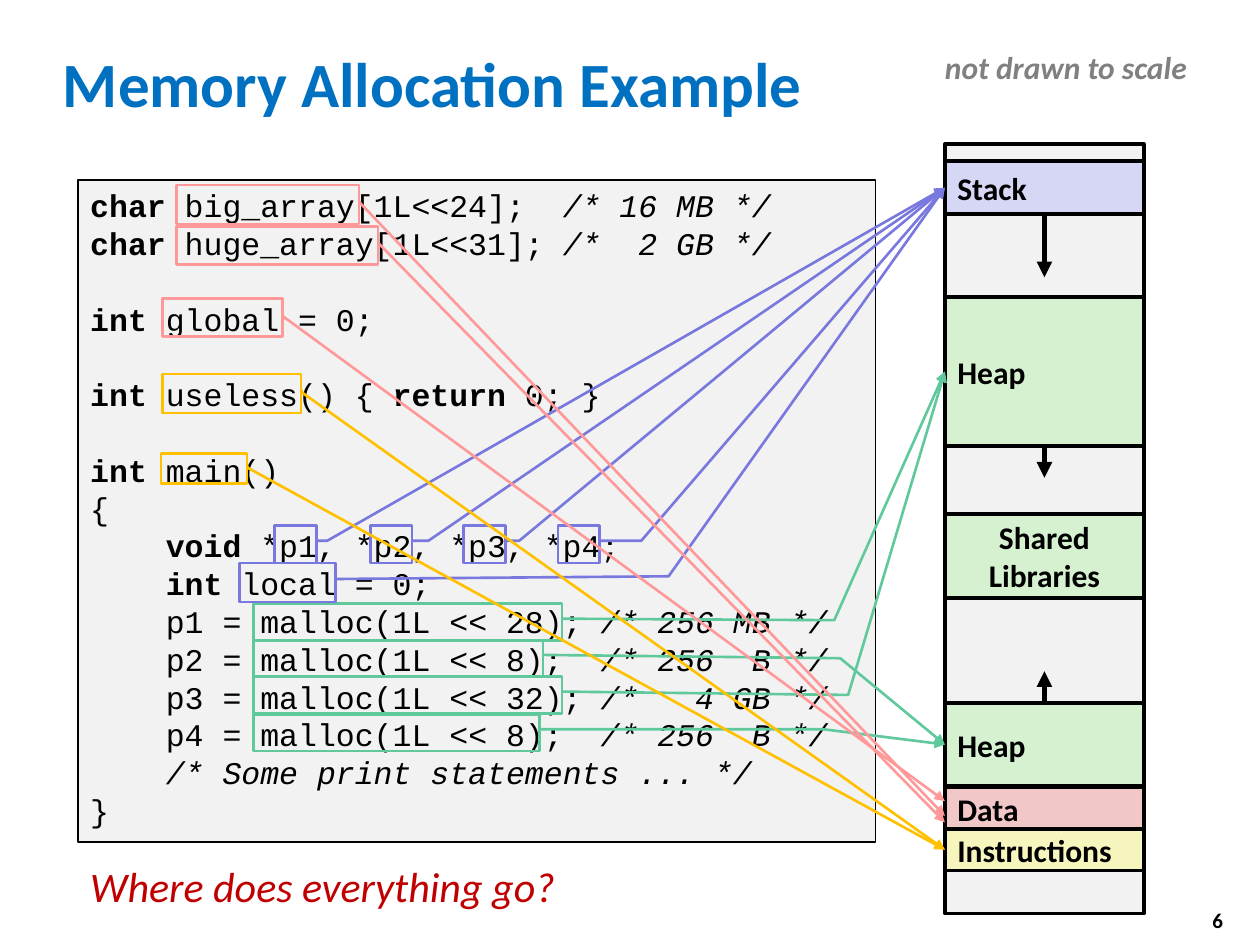
from itertools import groupby

from lxml import etree
from pptx import Presentation
from pptx.dml.color import RGBColor
from pptx.enum.shapes import MSO_CONNECTOR, MSO_SHAPE
from pptx.enum.text import MSO_ANCHOR, PP_ALIGN
from pptx.oxml.ns import qn
from pptx.util import Cm, Pt

RECT, CALLOUT = MSO_SHAPE.RECTANGLE, MSO_SHAPE.LINE_CALLOUT_2
STRAIGHT = MSO_CONNECTOR.STRAIGHT
TOP, MIDDLE = MSO_ANCHOR.TOP, MSO_ANCHOR.MIDDLE
LEFT, CENTER = PP_ALIGN.LEFT, PP_ALIGN.CENTER

BLACK, PALE, GREEN = "000000", "F2F2F2", "D5F1CF"
MINT, VIOLET, GOLD, PINK = "60C99C", "7878DE", "FFC000", "FF9999"

KEYS = {"char", "int", "void", "return"}
CODE = """char big_array[1L<<24];  /* 16 MB */
char huge_array[1L<<31]; /*  2 GB */

int global = 0;

int useless() { return 0; }

int main()
{
    void *p1, *p2, *p3, *p4;
    int local = 0;
    p1 = malloc(1L << 28); /* 256 MB */
    p2 = malloc(1L << 8);  /* 256  B */
    p3 = malloc(1L << 32); /*   4 GB */
    p4 = malloc(1L << 8);  /* 256  B */
    /* Some print statements ... */
}""".split("\n")

# text, box, anchor, align, size, colour, bold, italic
LABELS = [
    ("Memory Allocation Example", (1.02, 0.61, 23.34, 2.11), MIDDLE, LEFT, 36, "0070C0", True, False),
    ("6", (23.7, 18.03, 1.7, 1.02), MIDDLE, CENTER, 12, BLACK, True, False),
    ("not drawn to scale", (18.8, 0.84, 5.41, 1.02), TOP, LEFT, 18, "808080", True, True),
    ("Where does everything go?", (1.57, 17.22, 10.21, 1.3), TOP, LEFT, 24, "C00000", False, True),
]

COL_X, COL_W = 19.05, 4.01
# key: text, top, height, fill, align
BLOCKS = {
    "stack": ("Stack", 3.25, 1.07, "D6D6F5", LEFT),
    "large": ("Heap", 5.99, 3, GREEN, LEFT),
    "shared": ("Shared\nLibraries", 10.36, 1.7, GREEN, CENTER),
    "small": ("Heap", 14.17, 1.68, GREEN, LEFT),
    "data": ("Data", 15.88, 0.84, "F1C7C7", LEFT),
    "code": ("Instructions", 16.71, 0.84, "F6F5BD", LEFT),
}
# block, side, length of growth
GROWTH = [("stack", 2, 1.27), ("large", 2, 0.64), ("small", 0, -0.64)]

# box, elbow x (None: at the box), elbow height in box, target block, drop of tip
CALLS = [
    ((5.11, 12.17, 6.22, 0.74), 16.82, 0.45, "large", 0, MINT),
    ((5.11, 12.9, 5.84, 0.74), 16.94, 0.5, "small", 0, MINT),
    ((5.11, 13.64, 6.22, 0.74), 17.1, 0.5, "large", 0, MINT),
    ((5.11, 14.4, 5.77, 0.74), 16.61, 0.41, "small", 0, MINT),
    ((11.25, 10.59, 0.84, 0.76), 12.93, 0.41, "stack", 0, VIOLET),
    ((9.35, 10.59, 0.84, 0.76), 10.47, 0.41, "stack", 0, VIOLET),
    ((7.47, 10.59, 0.84, 0.76), 8.64, 0.41, "stack", 0, VIOLET),
    ((5.54, 10.59, 0.84, 0.76), 6.6, 0.41, "stack", 0, VIOLET),
    ((4.83, 11.35, 1.93, 0.79), 13.48, 0.34, "stack", 0, VIOLET),
    ((3.28, 7.54, 2.79, 0.79), None, 0.48, "code", 0, GOLD),
    ((3.25, 9.14, 1.73, 0.61), None, 0.48, "code", 0, GOLD),
    ((3.56, 3.73, 3.68, 0.79), None, 0.48, "data", 0.15, PINK),
    ((3.56, 4.57, 4.06, 0.76), None, 0.48, "data", 0.28, PINK),
    ((3.28, 6.02, 2.41, 0.76), None, 0.48, "data", -0.15, PINK),
]


def rgb(code):
    return RGBColor.from_string(code)


def add_tip(shape):
    """Put an arrowhead at the end of the shape's line."""
    ln = shape.line._get_or_add_ln()
    etree.SubElement(ln, qn("a:tailEnd"), type="triangle")


def draw(kind, box, fill, edge, width):
    shape = shapes.add_shape(kind, *map(Cm, box))
    shape.shadow.inherit = False
    if fill:
        shape.fill.solid()
        shape.fill.fore_color.rgb = rgb(fill)
    else:
        shape.fill.background()
    shape.line.color.rgb = rgb(edge)
    shape.line.width = Pt(width)
    return shape


def style(font, name, size, color, bold=False, italic=False):
    font.name, font.size = name, Pt(size)
    font.color.rgb = rgb(color)
    font.bold, font.italic = bold, italic


def write(shape, text, anchor, align, *look):
    frame = shape.text_frame
    frame.word_wrap = True
    frame.vertical_anchor = anchor
    frame.text = text
    for para in frame.paragraphs:
        para.alignment = align
        for run in para.runs:
            style(run.font, "Calibri", *look)


def parts(line):
    """Split a code line into (text, bold, italic) runs."""
    body, mark, note = line.partition("/*")
    groups = [(" ".join(words), key) for key, words
              in groupby(body.split(" "), lambda word: word in KEYS)]
    last = len(groups) - 1
    for i, (text, key) in enumerate(groups):
        yield text + (" " if i < last else ""), key, False
    yield mark + note, False, True


deck = Presentation()
deck.slide_width, deck.slide_height = Cm(25.4), Cm(19.05)
shapes = deck.slides.add_slide(deck.slide_layouts[6]).shapes

for text, box, *look in LABELS:
    write(shapes.add_textbox(*map(Cm, box)), text, *look)

panel = draw(RECT, (1.57, 3.63, 16.08, 13.34), PALE, BLACK, 1)
frame = panel.text_frame
frame.word_wrap = True
frame.vertical_anchor = TOP
frame.text = "\n".join(CODE)
for para, line in zip(frame.paragraphs, CODE):
    para.text = ""
    para.alignment = LEFT
    para.line_spacing = Pt(21.6)
    style(para.font, "Courier New", 18, BLACK)
    for text, bold, italic in parts(line):
        if text:
            run = para.add_run()
            run.text = text
            style(run.font, "Courier New", 18, BLACK, bold, italic)

draw(RECT, (COL_X, 2.9, COL_W, 15.52), PALE, BLACK, 2)
blocks = {}
for key, (text, top, high, fill, align) in BLOCKS.items():
    blocks[key] = draw(RECT, (COL_X, top, COL_W, high), fill, BLACK, 2)
    write(blocks[key], text, MIDDLE, align, 18, BLACK, True)

mid = Cm(COL_X + COL_W / 2)
for key, side, grow in GROWTH:
    _, top, high, *_ = BLOCKS[key]
    start = top + high if side == 2 else top
    arrow = shapes.add_connector(STRAIGHT, mid, Cm(start), mid, Cm(start + grow))
    arrow.begin_connect(blocks[key], side)
    arrow.line.color.rgb = rgb(BLACK)
    arrow.line.width = Pt(3)
    add_tip(arrow)
    etree.SubElement(arrow._element.spPr, qn("a:effectLst"))

for box, elbow, bend, key, drop, color in CALLS:
    x, y, wide, high = box
    _, top, tall, *_ = BLOCKS[key]
    turn = 1.01 if elbow is None else (elbow - x) / wide
    tip = top + tall / 2 + drop
    call = draw(CALLOUT, box, None, color, 1.5)
    points = (0.41, 1, bend, turn, (tip - y) / high, (COL_X - x) / wide)
    for i, value in enumerate(points):
        call.adjustments[i] = value
    add_tip(call)

deck.save("out.pptx")
